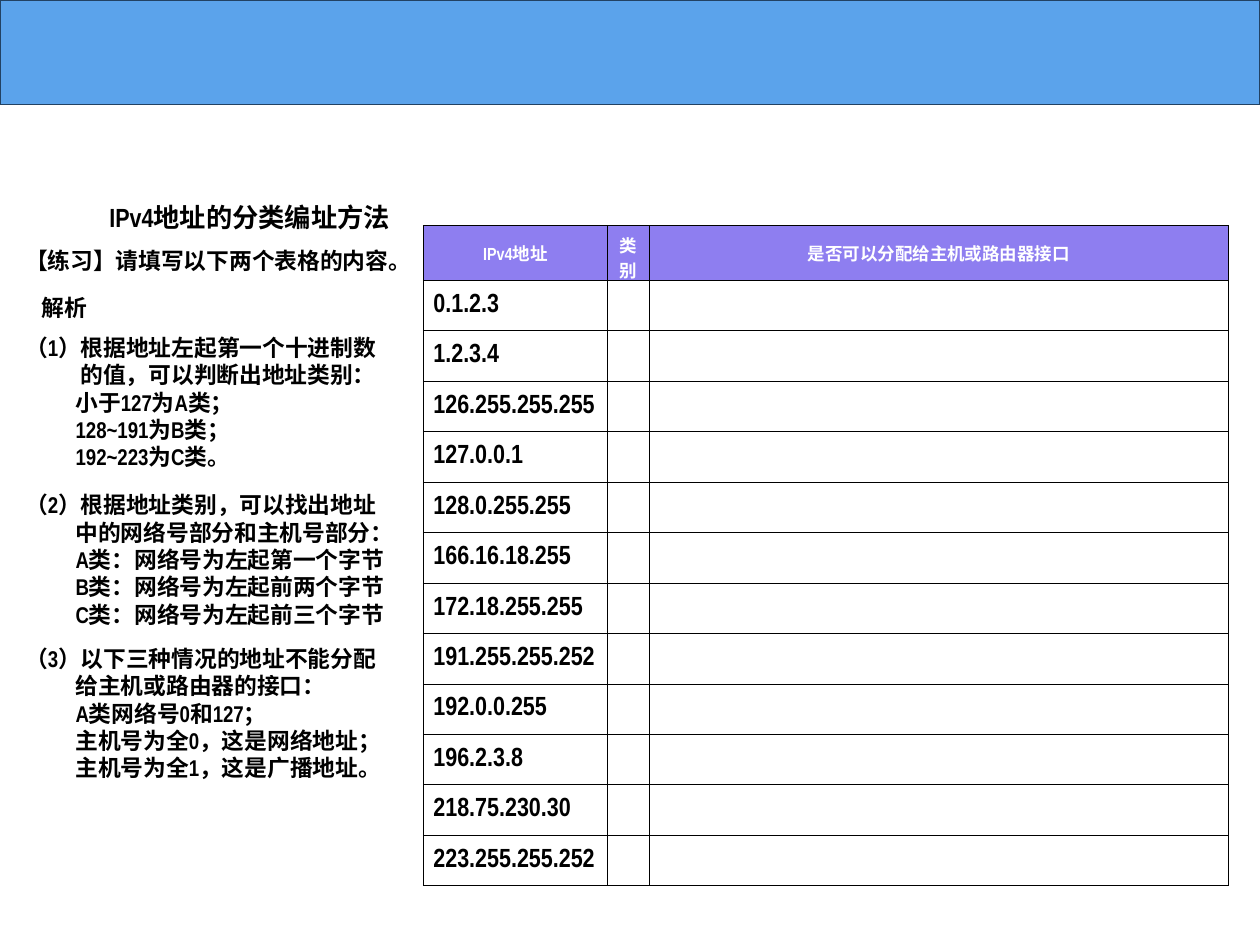
"""Build the IPv4 classful addressing exercise slide."""
from lxml import etree
from pptx import Presentation
from pptx.dml.color import RGBColor
from pptx.enum.shapes import MSO_SHAPE as SHAPE
from pptx.enum.text import MSO_ANCHOR as ANCHOR, PP_ALIGN as ALIGN
from pptx.oxml.ns import qn
from pptx.util import Inches, Pt

BLACK = RGBColor(0x00, 0x00, 0x00)
WHITE = RGBColor(0xFF, 0xFF, 0xFF)
PURPLE = RGBColor(0x8E, 0x7E, 0xF0)
BLUE = RGBColor(0x5B, 0xA3, 0xEB)
NAVY = RGBColor(0x22, 0x42, 0x63)

prs = Presentation()
prs.slide_width, prs.slide_height = Inches(10), Inches(7.5)
COL, ROW = prs.slide_width / 100, prs.slide_height / 75
s = prs.slides.add_slide(prs.slide_layouts[6])


def grid(x, y, w, h):
    return int(x * COL), int(y * ROW), int(w * COL), int(h * ROW)


def write(tf, lines, size, color=BLACK, align=ALIGN.LEFT, indents=()):
    for i, line in enumerate(lines):
        p = tf.paragraphs[0] if i == 0 else tf.add_paragraph()
        p.alignment = align
        if i < len(indents) and indents[i]:
            pPr = p._p.get_or_add_pPr()
            pPr.set("marL", str(int(indents[i] * COL)))
            pPr.set("indent", "0")
        r = p.add_run()
        r.text = line
        for name, value in {"name": "Arial Narrow", "size": Pt(size), "bold": True}.items():
            setattr(r.font, name, value)
        r.font.color.rgb = color


tb = s.shapes.add_textbox(*grid(7.7, 15.5, 45.6, 3.5))
tb.text_frame.word_wrap = True
write(tb.text_frame, ["IPv4地址的分类编址方法"], 15)

addresses = ["0.1.2.3", "1.2.3.4", "126.255.255.255", "127.0.0.1", "128.0.255.255",
             "166.16.18.255", "172.18.255.255", "191.255.255.252", "192.0.0.255",
             "196.2.3.8", "218.75.230.30", "223.255.255.252"]
headers = [["IPv4地址"], ["类", "别"], ["是否可以分配给主机或路由器接口"]]
table = s.shapes.add_table(len(addresses) + 1, len(headers), *grid(33.6, 17.9, 63.9, 43.1)).table
table.first_row = table.horz_banding = False
for column, width in zip(table.columns, (14.6, 3.3, 46)):
    column.width = int(width * COL)
for i, row in enumerate(table.rows):
    row.height = int((3.3 if i else 4.1) * ROW)
    for j, cell in enumerate(row.cells):
        cell_format = {"vertical_anchor": ANCHOR.MIDDLE,
                       "margin_left": int(0.8 * COL), "margin_right": int(0.8 * COL),
                       "margin_top": int(0.5 * ROW), "margin_bottom": int(0.5 * ROW)}
        for name, value in cell_format.items():
            setattr(cell, name, value)
        tcPr = cell._tc.get_or_add_tcPr()
        for side in ("a:lnL", "a:lnR", "a:lnT", "a:lnB"):
            ln = etree.SubElement(tcPr, qn(side), w=str(Pt(0.45)))
            fill = etree.SubElement(ln, qn("a:solidFill"))
            etree.SubElement(fill, qn("a:srgbClr"), val=str(BLACK))
        if i == 0:
            cell.fill.solid()
            cell.fill.fore_color.rgb = PURPLE
            write(cell.text_frame, headers[j], 10, WHITE, ALIGN.CENTER)
        else:
            cell.fill.background()
            if j == 0:
                write(cell.text_frame, [addresses[i - 1]], 15)

step = (0, 4, 4, 4, 4)
notes = [
    ((1.2, 18.8, 32.6, 3.8), (), ["【练习】请填写以下两个表格的内容。"]),
    ((2.5, 23.1, 5.8, 2.6), (), ["解析"]),
    ((1.2, 26.2, 31.3, 11.4), (0, 4.4, 4, 4, 4),
     ["（1）根据地址左起第一个十进制数", "的值，可以判断出地址类别：",
      "小于127为A类；", "128~191为B类；", "192~223为C类。"]),
    ((1.2, 38.7, 31.3, 11.4), step,
     ["（2）根据地址类别，可以找出地址", "中的网络号部分和主机号部分：",
      "A类：网络号为左起第一个字节", "B类：网络号为左起前两个字节",
      "C类：网络号为左起前三个字节"]),
    ((1.2, 50.9, 31.3, 11.4), step,
     ["（3）以下三种情况的地址不能分配", "给主机或路由器的接口：",
      "A类网络号0和127；", "主机号为全0，这是网络地址；", "主机号为全1，这是广播地址。"]),
]
note_format = {"word_wrap": True, "vertical_anchor": ANCHOR.MIDDLE,
               "margin_left": int(0.8 * COL), "margin_right": int(0.8 * COL),
               "margin_top": int(0.4 * ROW), "margin_bottom": int(0.4 * ROW)}
for place, indents, lines in notes:
    tf = s.shapes.add_textbox(*grid(*place)).text_frame
    for name, value in note_format.items():
        setattr(tf, name, value)
    write(tf, lines, 13, indents=indents)

banner = s.shapes.add_shape(SHAPE.RECTANGLE, *grid(0, 0, 100, 8.3))
banner.shadow.inherit = False
banner.fill.solid()
banner.fill.fore_color.rgb = BLUE
banner.line.color.rgb = NAVY
banner.line.width = Pt(1)

prs.save("out.pptx")
